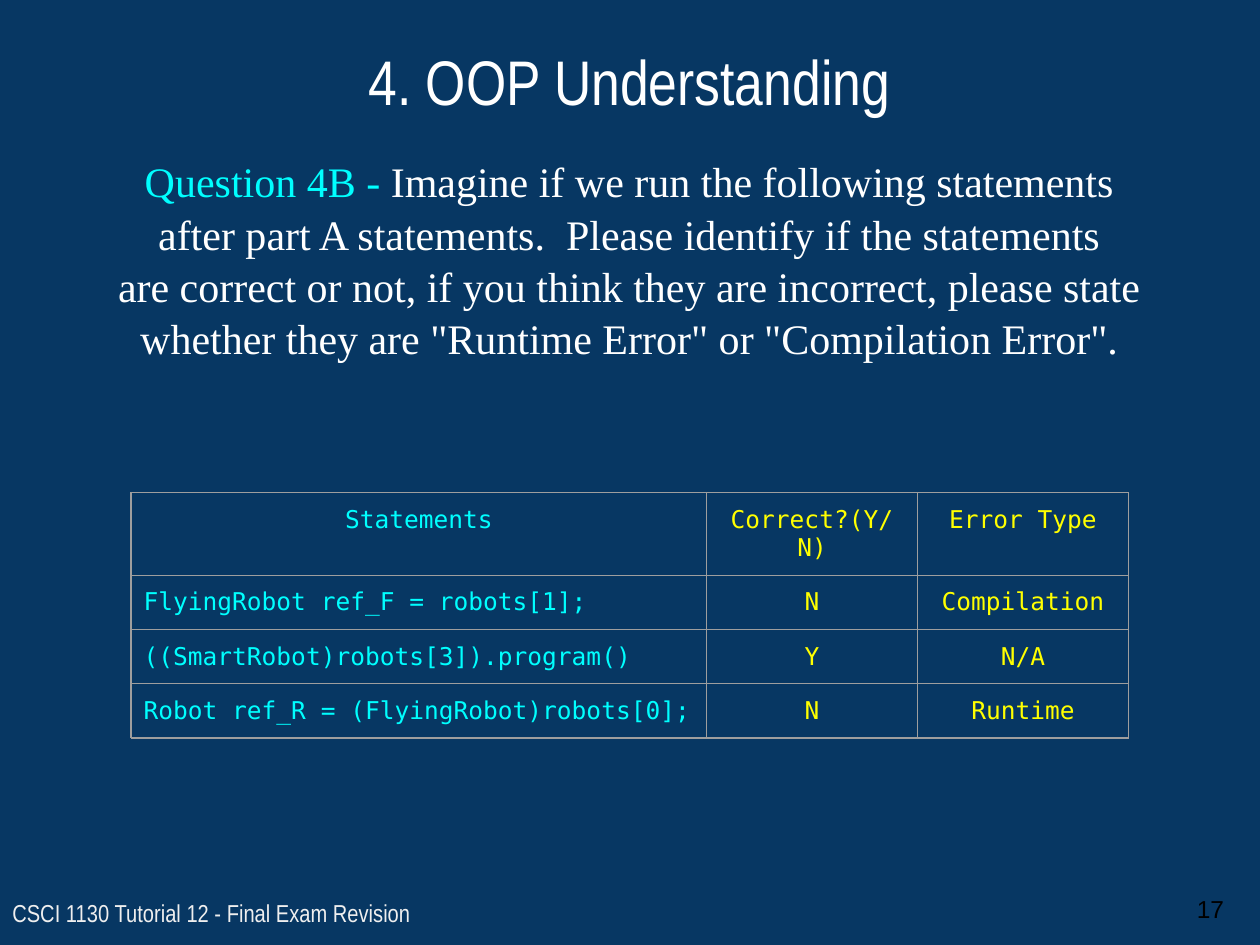
from pptx import Presentation
from pptx.dml.color import RGBColor
from pptx.enum.text import MSO_ANCHOR, MSO_AUTO_SIZE, PP_ALIGN
from pptx.oxml import parse_xml
from pptx.oxml.ns import nsdecls
from pptx.util import Inches, Pt

COLORS = {
    "background": "073763",
    "white": "FFFFFF",
    "cyan": "00FFFF",
    "yellow": "FFFF00",
    "footer": "EFEFEF",
    "number": "000000",
    "border": "9E9E9E",
}

QUESTION_LABEL = "Question 4B - "
QUESTION_LINES = [
    "Imagine if we run the following statements",
    "after part A statements.  Please identify if the statements",
    "are correct or not, if you think they are incorrect, please state",
    'whether they are "Runtime Error" or "Compilation Error".',
]
ANSWERS = [
    ("Statements", "Correct?(Y/N)", "Error Type"),
    ("FlyingRobot ref_F = robots[1];", "N", "Compilation"),
    ("((SmartRobot)robots[3]).program()", "Y", "N/A"),
    ("Robot ref_R = (FlyingRobot)robots[0];", "N", "Runtime"),
]
COLUMN_WIDTHS = [4.57, 1.67, 1.68]
ROW_HEIGHT = 0.43


def rgb(name):
    return RGBColor.from_string(COLORS[name])


def style_font(font, face, size, color):
    font.name = face
    font.size = Pt(size)
    font.color.rgb = rgb(color)


def set_margins(target):
    target.margin_left = target.margin_right = Inches(0.1)
    target.margin_top = target.margin_bottom = Inches(0.1)


def prepare_frame(shape, box, anchor=MSO_ANCHOR.TOP):
    shape.left, shape.top, shape.width, shape.height = map(Inches, box)
    frame = shape.text_frame
    frame.word_wrap = True
    frame.auto_size = MSO_AUTO_SIZE.NONE
    frame.vertical_anchor = anchor
    set_margins(frame)
    return frame


def fill_line(paragraph, text, face, size, color, align=PP_ALIGN.LEFT):
    paragraph.text = text
    paragraph.alignment = align
    style_font(paragraph.font, face, size, color)


def add_label(slide, box, text, face, color, anchor=MSO_ANCHOR.TOP):
    label = slide.shapes.add_textbox(*map(Inches, box))
    frame = prepare_frame(label, box, anchor)
    fill_line(frame.paragraphs[0], text, face, 14, color)


def fill_title(slide):
    frame = prepare_frame(slide.shapes.title, (0.73, 0.24, 8.53, 0.88))
    fill_line(frame.paragraphs[0], "4. OOP Understanding", "Arial Narrow", 36,
              "white", PP_ALIGN.CENTER)


def fill_question(slide):
    frame = prepare_frame(slide.placeholders[1], (0.73, 1.12, 8.53, 1.12))
    for index, line in enumerate(QUESTION_LINES):
        paragraph = frame.add_paragraph() if index else frame.paragraphs[0]
        paragraph.alignment = PP_ALIGN.CENTER
        paragraph.space_before = Pt(0)
        paragraph.line_spacing = 1.04
        # No bullet and no hanging indent
        properties = paragraph._p.get_or_add_pPr()
        properties.set("marL", "0")
        properties.set("indent", "0")
        properties.append(parse_xml(f"<a:buNone {nsdecls('a')}/>"))
        parts = [(line, "white")]
        if index == 0:
            parts.insert(0, (QUESTION_LABEL, "cyan"))
        for text, color in parts:
            run = paragraph.add_run()
            run.text = text
            style_font(run.font, "Times New Roman", 24, color)


def set_borders(cell):
    properties = cell._tc.get_or_add_tcPr()
    for position, side in enumerate(("lnL", "lnR", "lnT", "lnB")):
        properties.insert(position, parse_xml(
            f'<a:{side} {nsdecls("a")} w="{Pt(0.75)}"><a:solidFill>'
            f'<a:srgbClr val="{COLORS["border"]}"/></a:solidFill></a:{side}>'))


def add_answer_table(slide):
    table = slide.shapes.add_table(
        len(ANSWERS), len(COLUMN_WIDTHS), Inches(1.04), Inches(3.91),
        Inches(sum(COLUMN_WIDTHS)), Inches(ROW_HEIGHT * len(ANSWERS))).table
    table.first_row = table.horz_banding = False
    for column, width in zip(table.columns, COLUMN_WIDTHS):
        column.width = Inches(width)
    for r, answer in enumerate(ANSWERS):
        for c, text in enumerate(answer):
            cell = table.cell(r, c)
            cell.fill.background()
            set_margins(cell)
            set_borders(cell)
            is_code = c == 0 and r > 0
            fill_line(cell.text_frame.paragraphs[0], text, "DejaVu Sans Mono", 14,
                      "yellow" if c else "cyan",
                      PP_ALIGN.LEFT if is_code else PP_ALIGN.CENTER)


def main():
    deck = Presentation()
    deck.slide_width, deck.slide_height = Inches(10), Inches(7.5)
    slide = deck.slides.add_slide(deck.slide_layouts[1])
    slide.background.fill.solid()
    slide.background.fill.fore_color.rgb = rgb("background")

    # Footer and slide number
    add_label(slide, (0, 7.03, 4.94, 0.36),
              "CSCI 1130 Tutorial 12 - Final Exam Revision", "Arial Narrow", "footer")
    add_label(slide, (9.4, 6.93, 0.6, 0.57), "17", "Arial", "number",
              MSO_ANCHOR.MIDDLE)

    # Content
    fill_title(slide)
    fill_question(slide)
    add_answer_table(slide)
    deck.save("out.pptx")


if __name__ == "__main__":
    main()
